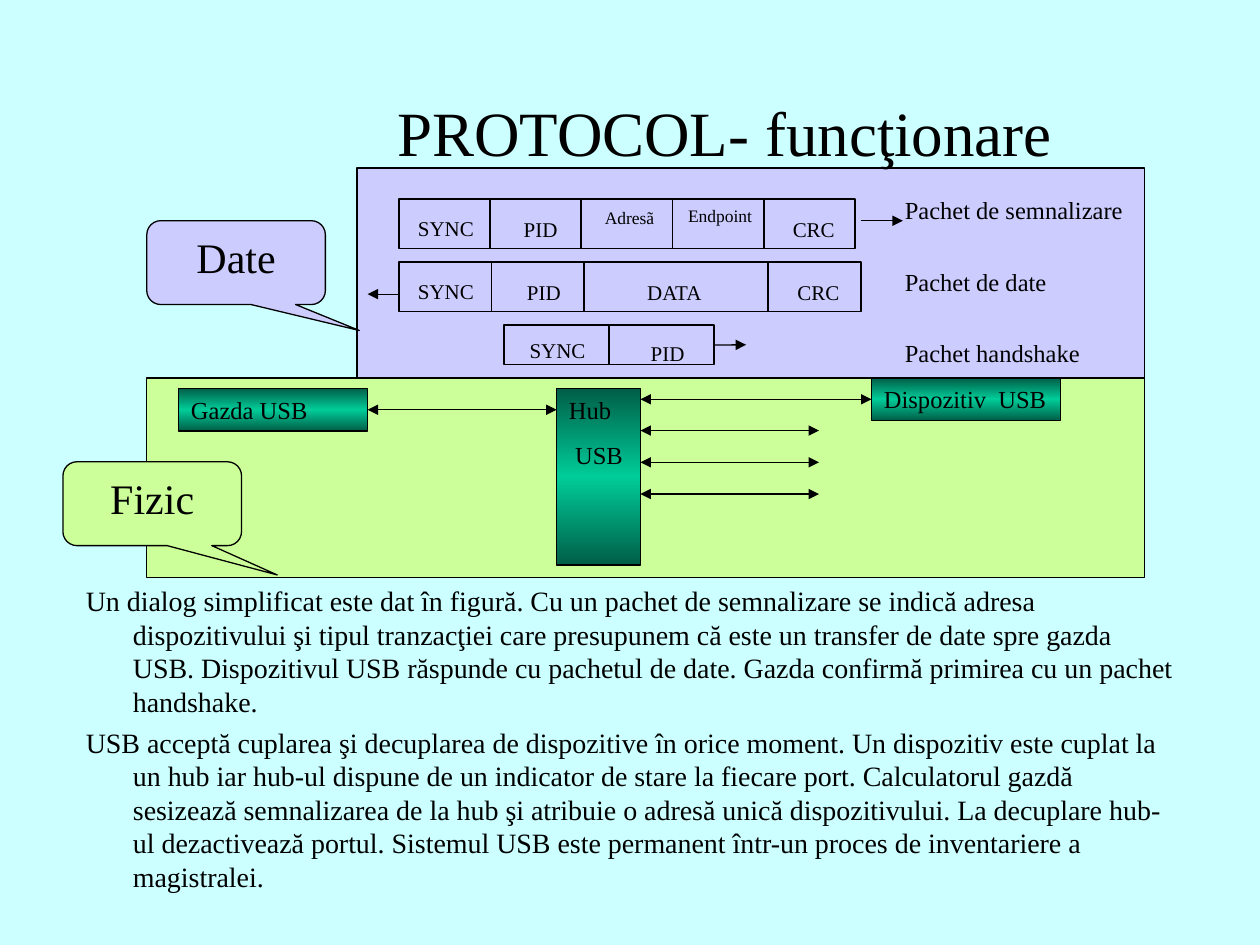
"""Build the slide on how the USB protocol works."""
import copy

import lxml.etree
import pptx
import pptx.dml.color
import pptx.enum.shapes
import pptx.enum.text
import pptx.oxml.ns
import pptx.util

Cm = pptx.util.Cm
Pt = pptx.util.Pt
qn = pptx.oxml.ns.qn
SHAPES = pptx.enum.shapes.MSO_SHAPE
ALIGN = pptx.enum.text.PP_ALIGN
COLORS = {
    name: pptx.dml.color.RGBColor.from_string(value)
    for name, value in {
        "background": "CCFFFF",
        "data": "CCCCFF",
        "physical": "CCFF99",
        "dark": "005E47",
        "bright": "00CC99",
        "ink": "000000",
    }.items()
}

deck = pptx.Presentation()
deck.slide_width, deck.slide_height = Cm(25.4), Cm(19.05)
page = deck.slides.add_slide(deck.slide_layouts[6])
page.background.fill.solid()
page.background.fill.fore_color.rgb = COLORS["background"]


def add_box(frame, fill=None, weight=0.75, kind=SHAPES.RECTANGLE):
    box = page.shapes.add_shape(kind, *map(Cm, frame))
    box.shadow.inherit = False
    box.line.color.rgb = COLORS["ink"]
    box.line.width = Pt(weight)
    if fill:
        box.fill.solid()
        box.fill.fore_color.rgb = COLORS[fill]
    else:
        box.fill.background()
    return box


def write_text(box, lines, size, align=ALIGN.LEFT, space=0, inset=(0.25, 0.13)):
    frame = box.text_frame
    frame.word_wrap = True
    frame.vertical_anchor = pptx.enum.text.MSO_ANCHOR.TOP
    frame.margin_left = frame.margin_right = Cm(inset[0])
    frame.margin_top = frame.margin_bottom = Cm(inset[1])
    for number, line in enumerate(lines):
        para = frame.add_paragraph() if number else frame.paragraphs[0]
        para.alignment = align
        para.space_before = Pt(space)
        span = para.add_run()
        span.text = line
        span.font.size = Pt(size)
        span.font.name = "Times New Roman"
        span.font.color.rgb = COLORS["ink"]
    return frame


add_box((2.96, 7.62, 20.11, 4.02), "physical")
add_box((7.2, 3.39, 15.88, 4.23), "data")

title = page.shapes.add_textbox(Cm(5.72), Cm(1.06), Cm(17.78), Cm(3.18))
title_frame = write_text(title, ["PROTOCOL- funcţionare"], 36, ALIGN.CENTER)
title_frame.vertical_anchor = pptx.enum.text.MSO_ANCHOR.MIDDLE

body = page.shapes.add_textbox(Cm(1.48), Cm(11.64), Cm(22.44), Cm(6.56))
body_frame = write_text(body, [
    "Un dialog simplificat este dat în figură. Cu un pachet de semnalizare se "
    "indică adresa dispozitivului şi tipul tranzacţiei care presupunem că este "
    "un transfer de date spre gazda USB. Dispozitivul USB răspunde cu pachetul "
    "de date. Gazda confirmă primirea cu un pachet handshake.",
    "USB acceptă cuplarea şi decuplarea de dispozitive în orice moment. Un "
    "dispozitiv este cuplat la un hub iar hub-ul dispune de un indicator de "
    "stare la fiecare port. Calculatorul gazdă sesizează semnalizarea de la hub "
    "şi atribuie o adresă unică dispozitivului. La decuplare hub-ul dezactivează "
    "portul. Sistemul USB este permanent într-un proces de inventariere a "
    "magistralei.",
], 16, space=4)
for para in body_frame.paragraphs:
    properties = para._p.get_or_add_pPr()
    properties.set("marL", str(Cm(0.95)))
    properties.set("indent", str(-Cm(0.95)))

devices = []
for frame, lines in [
    ((3.6, 7.83, 3.81, 0.86), ["Gazda USB"]),
    ((11.22, 7.83, 1.69, 3.56), ["Hub", " USB"]),
    ((17.57, 7.62, 3.81, 0.86), ["Dispozitiv  USB"]),
]:
    device = add_box(frame)
    device.fill.gradient()
    device.fill.gradient_angle = 90
    stop_list = device._element.spPr.find(".//" + qn("a:gsLst"))
    stop_list.append(copy.deepcopy(stop_list[0]))
    for stop, position, color in zip(
        device.fill.gradient_stops, (0, 0.5, 1), ("dark", "bright", "dark")
    ):
        stop.position = position
        stop.color.rgb = COLORS[color]
    write_text(device, lines, 14, space=8.8)
    devices.append(device)
host, hub, peripheral = devices

packets = [
    (8.04, 4.02, 0.99, [1.84] * 5, [
        ("SYNC", 12, 8.15, 4.32, 1.68, 0.76),
        ("PID", 12, 10.24, 4.34, 1.32, 0.69),
        ("Adresã", 10, 11.84, 4.14, 1.7, 0.94),
        ("Endpoint", 10, 13.74, 4.11, 1.55, 0.89),
        ("CRC", 12, 15.72, 4.34, 1.37, 0.69),
    ]),
    (8.04, 5.29, 0.99, [1.87, 1.87, 3.71, 1.87], [
        ("SYNC", 12, 8.15, 5.59, 1.68, 0.76),
        ("PID", 12, 10.29, 5.61, 1.35, 0.69),
        ("DATA", 12, 12.45, 5.61, 2.29, 0.46),
        ("CRC", 12, 15.8, 5.61, 1.4, 0.69),
    ]),
    (10.16, 6.56, 0.79, [2.12] * 2, [
        ("SYNC", 12, 10.29, 6.78, 1.9, 0.61),
        ("PID", 12, 12.7, 6.83, 1.52, 0.56),
    ]),
]
for left, top, height, widths, labels in packets:
    for width in widths:
        cell = add_box((left, top, width, height), weight=1)
        left += width
    for label, size, *frame in labels:
        box = page.shapes.add_textbox(*map(Cm, frame))
        write_text(box, [label], size, ALIGN.CENTER, inset=(0.03, 0.03))
handshake_end = cell

names = page.shapes.add_textbox(Cm(17.99), Cm(3.81), Cm(5.72), Cm(3.68))
write_text(
    names,
    ["Pachet de semnalizare", "Pachet de date", "Pachet handshake"],
    14, space=24,
)

arrows = [
    (7.41, 11.22, 8.26, True, host, None),
    (12.91, 17.57, 8.05, True, None, peripheral),
    (17.35, 18.2, 4.45, False, None, None),
    (8.04, 7.41, 5.93, False, None, None),
    (14.4, 15.04, 6.95, False, handshake_end, None),
]
arrows += [(12.91, 16.51, 8.68 + 0.64 * port, True, None, None) for port in range(3)]
for start, end, height, both_ways, source, target in arrows:
    arrow = page.shapes.add_connector(
        pptx.enum.shapes.MSO_CONNECTOR.STRAIGHT,
        Cm(start), Cm(height), Cm(end), Cm(height),
    )
    if source:
        arrow.begin_connect(source, 3)
    if target:
        arrow.end_connect(target, 1)
    arrow.line.color.rgb = COLORS["ink"]
    arrow.line.width = Pt(0.75)
    line = arrow.line._get_or_add_ln()
    for tip in ["a:headEnd", "a:tailEnd"] if both_ways else ["a:tailEnd"]:
        lxml.etree.SubElement(line, qn(tip), type="triangle")
    lxml.etree.SubElement(arrow._element.spPr, qn("a:effectLst"))

for label, left, top, fill, pointer in [
    ("Date", 2.96, 4.45, "data", (0.69, 0.81)),
    ("Fizic", 1.27, 9.31, "physical", (0.7, 0.85)),
]:
    callout = add_box(
        (left, top, 3.6, 1.69), fill, kind=SHAPES.ROUNDED_RECTANGULAR_CALLOUT
    )
    callout.adjustments[0], callout.adjustments[1] = pointer
    write_text(callout, [label], 24, ALIGN.CENTER)

deck.save("out.pptx")
